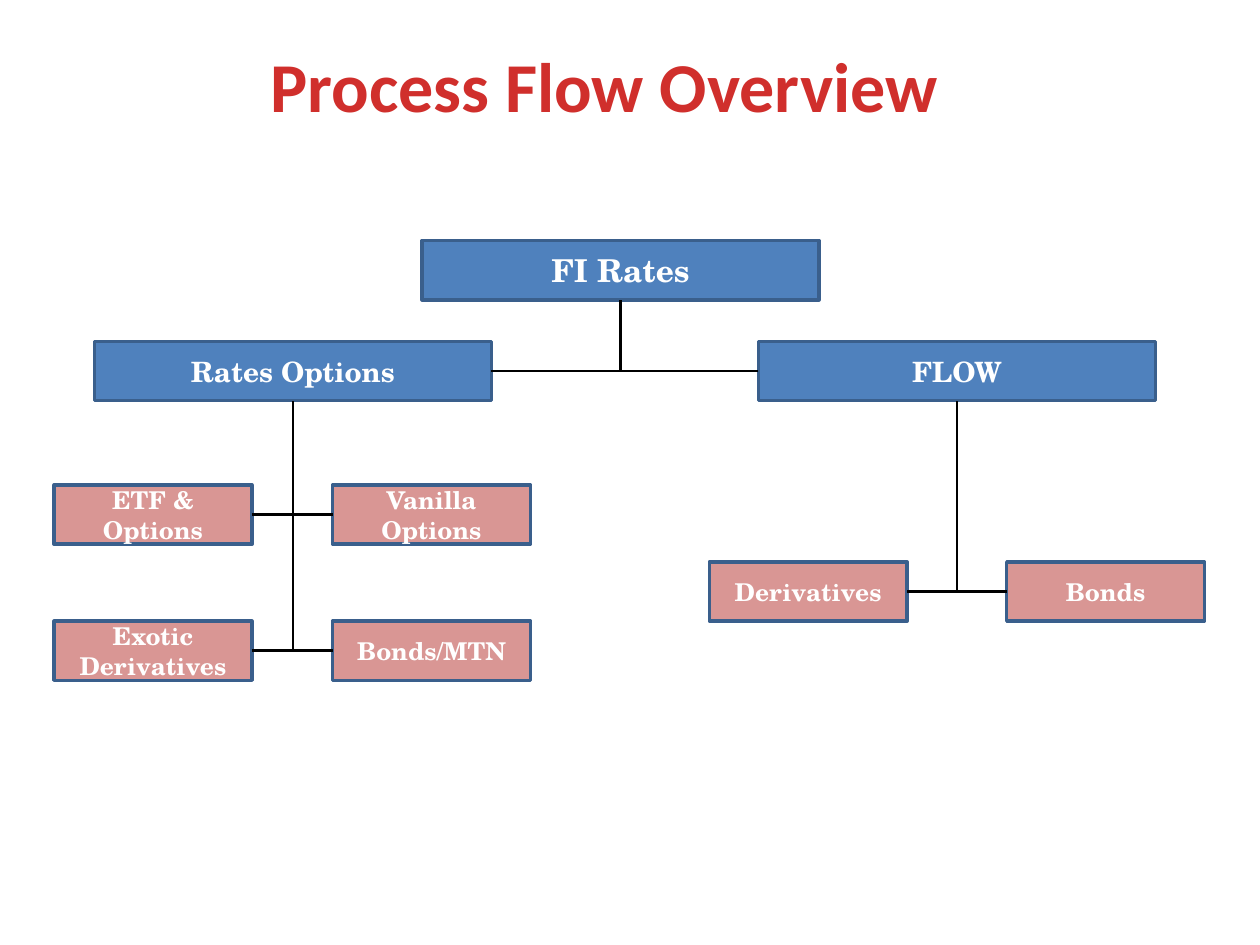
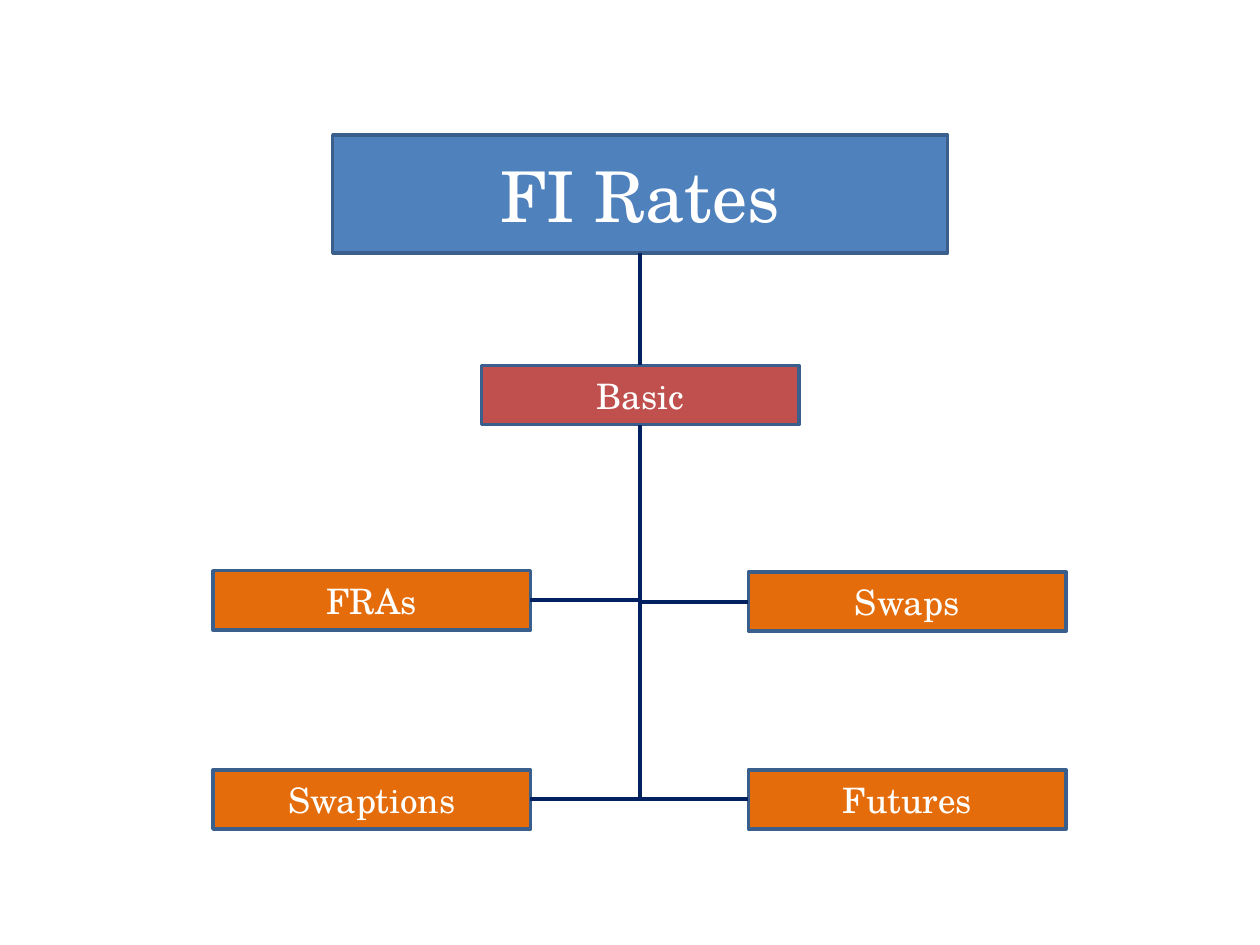
from pptx import Presentation
from pptx.dml.color import RGBColor
from pptx.enum.shapes import MSO_CONNECTOR, MSO_SHAPE
from pptx.enum.text import MSO_ANCHOR, PP_ALIGN
from pptx.oxml.ns import qn
from pptx.util import Inches, Pt
from lxml.etree import SubElement

BLUE = RGBColor(0x4F, 0x81, 0xBD)
OUTLINE = RGBColor(0x3A, 0x5F, 0x8C)
PINK = RGBColor(0xD9, 0x96, 0x94)
ORANGE = RGBColor(0xE4, 0x6C, 0x0A)
BRICK = RGBColor(0xC0, 0x50, 0x4D)
TITLE_RED = RGBColor(0xD0, 0x2F, 0x2C)
NAVY = RGBColor(0x00, 0x20, 0x60)
BLACK = RGBColor(0x00, 0x00, 0x00)
WHITE = RGBColor(0xFF, 0xFF, 0xFF)

# Connection sites of a rectangle
TOP, LEFT, BOTTOM, RIGHT = range(4)


def write_text(shape, text, color, font_format):
    """Write one centred line of text in a shape."""
    paragraph = shape.text_frame.paragraphs[0]
    paragraph.alignment = PP_ALIGN.CENTER
    run = paragraph.add_run()
    run.text = text
    run.font.color.rgb = color
    for name, value in font_format.items():
        setattr(run.font, name, value)


def draw_tree(slide, levels, nodes, line_color, line_width):
    """Draw boxes by level and join each box to its parent."""
    boxes = {}
    for text, level, left, top, parent in nodes:
        width, height, fill, font_format = levels[level]
        box = slide.shapes.add_shape(
            MSO_SHAPE.RECTANGLE,
            Inches(left), Inches(top), Inches(width), Inches(height))
        box.shadow.inherit = False
        box.fill.solid()
        box.fill.fore_color.rgb = fill
        box.line.color.rgb = OUTLINE
        box.line.width = Pt(2)
        box.text_frame.word_wrap = True
        box.text_frame.vertical_anchor = MSO_ANCHOR.MIDDLE
        write_text(box, text, WHITE, font_format)
        boxes[text] = box

    for text, level, left, top, parent in nodes:
        if parent is None:
            continue
        child, trunk = boxes[text], boxes[parent]
        offset = child.left + child.width / 2 - trunk.left - trunk.width / 2
        straight = abs(offset) < Inches(0.05)
        kind = MSO_CONNECTOR.STRAIGHT if straight else MSO_CONNECTOR.ELBOW
        site = TOP if straight else LEFT if offset > 0 else RIGHT
        connector = slide.shapes.add_connector(kind, 0, 0, 0, 0)
        connector.begin_connect(child, site)
        connector.end_connect(trunk, BOTTOM)
        connector.line.color.rgb = line_color
        connector.line.width = Pt(line_width)
        properties = connector._element.spPr
        SubElement(properties, qn("a:effectLst"))
        if not straight:
            # One corner only: sideways from the child, then up to the parent
            properties.find(qn("a:prstGeom")).set("prst", "bentConnector2")


presentation = Presentation()
presentation.slide_width = Inches(10)
presentation.slide_height = Inches(7.5)
blank = presentation.slide_layouts[6]

# Slide 1: process flow overview
slide = presentation.slides.add_slide(blank)
bold = {"name": "TeX Gyre Schola", "bold": True}
levels = {
    "root": (3.15, 0.47, BLUE, {**bold, "size": Pt(18)}),
    "group": (3.15, 0.47, BLUE, {**bold, "size": Pt(16)}),
    "product": (1.57, 0.47, PINK, {**bold, "size": Pt(14)}),
}
nodes = [
    ("FI Rates", "root", 3.35, 1.91, None),
    ("FLOW", "group", 6.02, 2.71, "FI Rates"),
    ("Rates Options", "group", 0.75, 2.71, "FI Rates"),
    ("ETF & Options", "product", 0.43, 3.85, "Rates Options"),
    ("Exotic Derivatives", "product", 0.43, 4.93, "Rates Options"),
    ("Bonds/MTN", "product", 2.64, 4.93, "Rates Options"),
    ("Vanilla Options", "product", 2.64, 3.85, "Rates Options"),
    ("Bonds", "product", 7.99, 4.46, "FLOW"),
    ("Derivatives", "product", 5.63, 4.46, "FLOW"),
]
draw_tree(slide, levels, nodes, BLACK, 1.5)
title = slide.shapes.add_textbox(
    Inches(2.02), Inches(0.29), Inches(5.55), Inches(0.77))
title.text_frame.word_wrap = False
write_text(title, "Process Flow Overview", TITLE_RED,
           {"name": "Calibri", "size": Pt(40), "bold": True})

# Slide 2: basic products
slide = presentation.slides.add_slide(blank)
regular = {"name": "TeX Gyre Schola", "size": Pt(20)}
levels = {
    "root": (4.88, 0.94, BLUE, {**regular, "size": Pt(40)}),
    "group": (2.52, 0.47, BRICK, regular),
    "product": (2.52, 0.47, ORANGE, regular),
}
nodes = [
    ("FI Rates", "root", 2.64, 1.07, None),
    ("Basic", "group", 3.82, 2.9, "FI Rates"),
    ("Swaps", "product", 5.94, 4.54, "Basic"),
    ("Swaptions", "product", 1.69, 6.11, "Basic"),
    ("FRAs", "product", 1.69, 4.53, "Basic"),
    ("Futures", "product", 5.94, 6.11, "Basic"),
]
draw_tree(slide, levels, nodes, NAVY, 2.25)

presentation.save("out.pptx")
